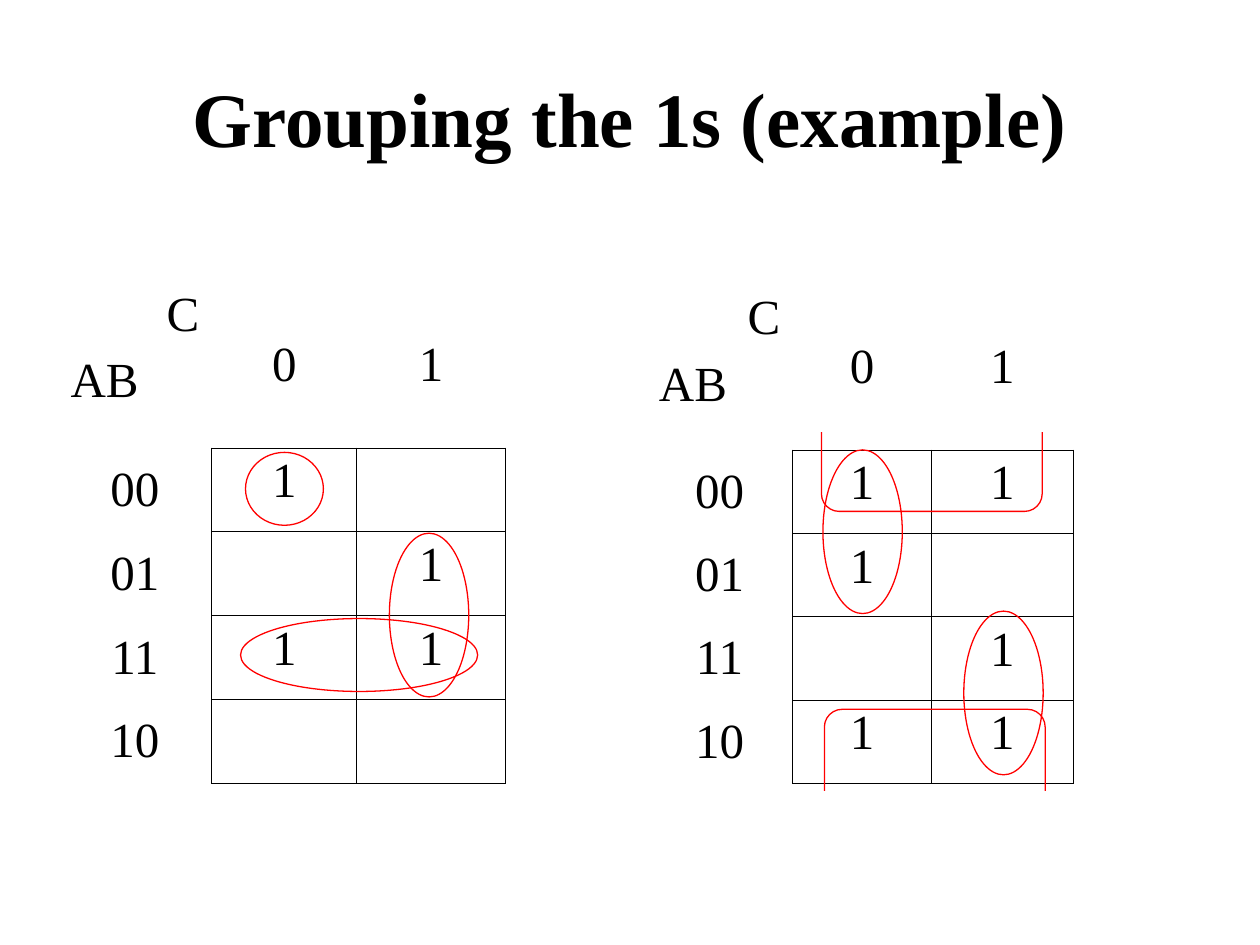
from lxml import etree
from pptx import Presentation
from pptx.dml.color import RGBColor
from pptx.enum.shapes import MSO_SHAPE
from pptx.enum.text import MSO_ANCHOR, PP_ALIGN
from pptx.oxml.ns import qn
from pptx.util import Cm, Pt

OVAL = MSO_SHAPE.OVAL
RECTANGLE = MSO_SHAPE.RECTANGLE
ROUNDED = MSO_SHAPE.FLOWCHART_ALTERNATE_PROCESS
TOP, MIDDLE = MSO_ANCHOR.TOP, MSO_ANCHOR.MIDDLE
LEFT, CENTER, RIGHT = PP_ALIGN.LEFT, PP_ALIGN.CENTER, PP_ALIGN.RIGHT

FONT = "Times New Roman"
BLACK, WHITE, RED = "000000", "FFFFFF", "FF0000"
PLAIN_TABLE_STYLE = "{2D5ABB26-0587-4C30-8999-92F81FD0307C}"
GRAY_CODE = ["00", "01", "11", "10"]

# Lengths in centimetres
MAPS = [
    {
        "left": 1.17, "top": 5.67, "columns": [3.1, 2.92, 3.0],
        "header": 3.36, "row": 1.69,
        "ones": [["1", ""], ["", "1"], ["1", "1"], ["", ""]],
    },
    {
        "left": 13.03, "top": 5.74, "columns": [2.95, 2.8, 2.85],
        "header": 3.33, "row": 1.68,
        "ones": [["1", "1"], ["1", ""], ["", "1"], ["1", "1"]],
    },
]
OVAL_GROUPS = [
    (7.85, 10.75, 1.6, 3.3),
    (4.95, 9.12, 1.57, 1.47),
    (4.85, 12.47, 4.78, 1.47),
    (16.59, 9.07, 1.6, 3.3),
    (19.43, 12.32, 1.6, 3.3),
]
# left, top, offset of the mask that hides the open side
WRAPPED_GROUPS = [(16.56, 8.18, -0.33), (16.62, 14.3, 1.65)]


def color(hex_string):
    return RGBColor.from_string(hex_string)


def format_paragraph(paragraph, size, alignment, bold=False):
    paragraph.alignment = alignment
    for run in paragraph.runs:
        run.font.name = FONT
        run.font.size = Pt(size)
        run.font.bold = bold
        run.font.color.rgb = color(BLACK)


def add_title(slide, text):
    title = slide.shapes.title
    title.left, title.top = Cm(1.27), Cm(0.76)
    title.width, title.height = Cm(22.86), Cm(3.18)
    title.text_frame.text = text
    title.text_frame.vertical_anchor = MIDDLE
    format_paragraph(title.text_frame.paragraphs[0], 44, CENTER, bold=True)


def set_borders(cell, sides):
    """Draw the given sides (letters of L, R, T, B) and clear the others."""
    properties = cell._tc.get_or_add_tcPr()
    for side in "LRTB":
        line = etree.SubElement(properties, qn(f"a:ln{side}"), w=str(Pt(0.45)))
        if side in sides:
            fill = etree.SubElement(line, qn("a:solidFill"))
            etree.SubElement(fill, qn("a:srgbClr"), val=BLACK)
        else:
            etree.SubElement(line, qn("a:noFill"))


def fill_cell(cell, text, anchor, sides):
    set_borders(cell, sides)
    cell.fill.background()
    cell.vertical_anchor = anchor
    cell.text_frame.text = text
    for paragraph in cell.text_frame.paragraphs:
        format_paragraph(paragraph, 28, CENTER)


def add_karnaugh_map(slide, left, top, columns, header, row, ones):
    heights = [header] + [row] * len(ones)
    frame = slide.shapes.add_table(
        len(heights), len(columns), Cm(left), Cm(top),
        Cm(sum(columns)), Cm(sum(heights)))
    table = frame.table
    table.first_row = table.horz_banding = False
    table._tbl.tblPr.find(qn("a:tableStyleId")).text = PLAIN_TABLE_STYLE
    for column, width in zip(table.columns, columns):
        column.width = Cm(width)
    for table_row, height in zip(table.rows, heights):
        table_row.height = Cm(height)

    corner = table.cell(0, 0)
    fill_cell(corner, "C\nAB", TOP, "")
    variable_c, variables_ab = corner.text_frame.paragraphs
    variable_c.alignment = RIGHT
    variables_ab.alignment = LEFT
    variables_ab.space_before = Pt(7)

    for column_index, label in enumerate("01", start=1):
        fill_cell(table.cell(0, column_index), label, MIDDLE, "B")
    for row_index, (label, values) in enumerate(zip(GRAY_CODE, ones), start=1):
        fill_cell(table.cell(row_index, 0), label, MIDDLE, "R")
        for column_index, value in enumerate(values, start=1):
            fill_cell(table.cell(row_index, column_index), value, TOP, "LRTB")


def add_outline(shapes, kind, left, top, width, height, line=RED, fill=None):
    shape = shapes.add_shape(kind, Cm(left), Cm(top), Cm(width), Cm(height))
    shape.shadow.inherit = False
    shape.line.color.rgb = color(line)
    shape.line.width = Pt(0.75)
    if fill:
        shape.fill.solid()
        shape.fill.fore_color.rgb = color(fill)
    else:
        shape.fill.background()


def add_wrapped_group(slide, left, top, mask_offset):
    """Add a rounded outline whose outer side is hidden by a white mask."""
    group = slide.shapes.add_group_shape()
    add_outline(group.shapes, ROUNDED, left, top, 4.45, 2.13)
    add_outline(group.shapes, RECTANGLE, left - 0.4, top + mask_offset,
                5.28, 0.84, line=WHITE, fill=WHITE)


def main():
    presentation = Presentation()
    presentation.slide_width, presentation.slide_height = Cm(25.4), Cm(19.05)
    slide = presentation.slides.add_slide(presentation.slide_layouts[5])
    add_title(slide, "Grouping the 1s (example)")
    for karnaugh_map in MAPS:
        add_karnaugh_map(slide, **karnaugh_map)
    for wrapped_group in WRAPPED_GROUPS:
        add_wrapped_group(slide, *wrapped_group)
    for oval in OVAL_GROUPS:
        add_outline(slide.shapes, OVAL, *oval)
    presentation.save("out.pptx")


if __name__ == "__main__":
    main()
